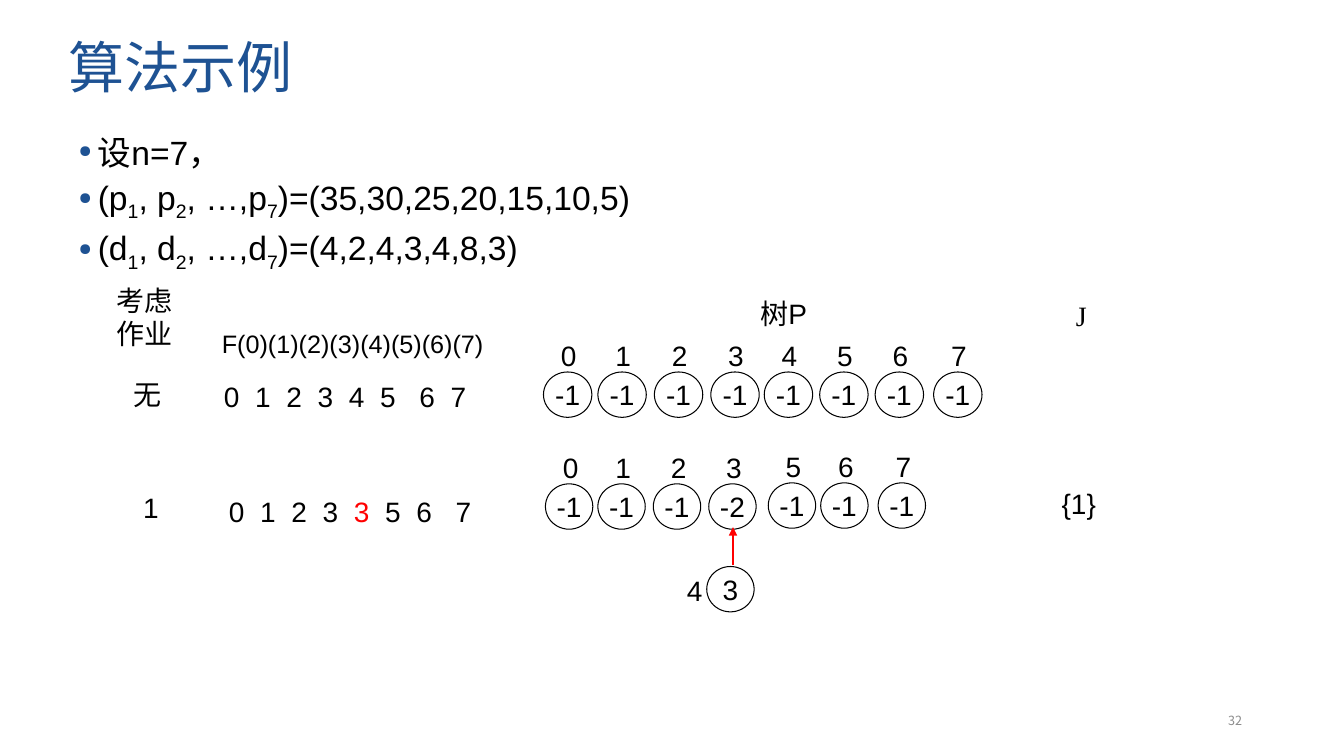
from lxml import etree
from pptx import Presentation
from pptx.dml.color import RGBColor
from pptx.enum.shapes import MSO_CONNECTOR, MSO_SHAPE
from pptx.enum.text import MSO_ANCHOR, PP_ALIGN
from pptx.oxml.ns import qn
from pptx.util import Inches, Pt

BLUE = RGBColor(0x1E, 0x52, 0x93)
BLACK = RGBColor(0, 0, 0)
RED = RGBColor(0xFF, 0, 0)
GRAY = RGBColor(0x8C, 0x8C, 0x8C)
SANS, CJK, SERIF = "Arial", "Noto Sans CJK SC", "Times New Roman"
LEFT, CENTER, RIGHT = PP_ALIGN.LEFT, PP_ALIGN.CENTER, PP_ALIGN.RIGHT
MIDDLE = MSO_ANCHOR.MIDDLE
STRAIGHT, OVAL = MSO_CONNECTOR.STRAIGHT, MSO_SHAPE.OVAL

prs = Presentation()
prs.slide_width, prs.slide_height = Inches(13.33), Inches(7.5)
s = prs.slides.add_slide(prs.slide_layouts[6])


def fill_text(sp, text, size=20, font=SANS, color=BLACK, align=LEFT):
    """Write text into a shape without insets, one paragraph per line."""
    tf = sp.text_frame
    tf.margin_left = tf.margin_right = tf.margin_top = tf.margin_bottom = 0
    tf.word_wrap = True
    tf.text = text
    for p in tf.paragraphs:
        p.alignment = align
        p.font.size, p.font.name = Pt(size), font
        p.font.color.rgb = color
    return tf


def add_text(x, y, w, h, text, **style):
    sp = s.shapes.add_textbox(Inches(x), Inches(y), Inches(w), Inches(h))
    return fill_text(sp, text, **style)


# Title and page number
tf = add_text(0.68, 0.17, 8.8, 1.06, "算法示例", size=40, color=BLUE)
tf.vertical_anchor = MIDDLE
tf.paragraphs[0].line_spacing = 0.9
tf = add_text(9.52, 6.95, 2.8, 0.4, "32", size=9, font=CJK, color=GRAY, align=RIGHT)
tf.vertical_anchor = MIDDLE

# Problem data: every second run of a line is a subscript
problem = [
    ["设n=7，"],
    ["(p", "1", ", p", "2", ", …,p", "7", ")=(35,30,25,20,15,10,5)"],
    ["(d", "1", ", d", "2", ", …,d", "7", ")=(4,2,4,3,4,8,3)"],
]
tf = add_text(0.78, 1.27, 5.82, 1.71, "\n" * (len(problem) - 1), size=24)
for p, parts in zip(tf.paragraphs, problem):
    p.line_spacing = 1.1
    pPr = p._p.get_or_add_pPr()
    pPr.set("marL", str(Inches(0.19)))
    pPr.set("indent", str(-Inches(0.19)))
    bullet_color = etree.Element(qn("a:buClr"))
    etree.SubElement(bullet_color, qn("a:srgbClr"), val=str(BLUE))
    bullet_size = etree.Element(qn("a:buSzPct"), val="50000")
    bullet = etree.Element(qn("a:buChar"), char="●")
    for element in (bullet_color, bullet_size, bullet):
        pPr.find(qn("a:defRPr")).addprevious(element)
    for j, part in enumerate(parts):
        r = p.add_run()
        r.text = part
        if j % 2:
            r.font._element.set("baseline", "-25000")

# Column headings
add_text(1.16, 2.81, 0.72, 0.79, "考虑\n作业", font=CJK)
add_text(2.2, 3.26, 3.9, 0.3, "F(0)(1)(2)(3)(4)(5)(6)(7)", size=18)
p = add_text(7.54, 2.94, 0.8, 0.33, "").paragraphs[0]
for text, font in [("树", CJK), ("P", SANS)]:
    r = p.add_run()
    r.text, r.font.name = text, font
add_text(10.67, 2.96, 0.25, 0.35, "J", font=SERIF)

# Job considered and resulting set J
add_text(1.32, 3.74, 0.5, 0.39, "无", font=CJK)
add_text(1.42, 4.87, 0.53, 0.34, "1")
add_text(10.53, 4.83, 0.54, 0.43, "{1}")

# Values of F: left, top, digits, index of the changed value, last two tab stops
f_rows = [
    (2.22, 3.76, "01234567", None, [1.94, 2.25]),
    (2.27, 4.91, "01233567", 4, [1.86, 2.25]),
]
for x, y, digits, changed, last_stops in f_rows:
    p = add_text(x, y, 3, 0.39, "").paragraphs[0]
    tabs = etree.Element(qn("a:tabLst"))
    for stop in [0.31 * k for k in range(1, 6)] + last_stops:
        etree.SubElement(tabs, qn("a:tab"), pos=str(Inches(stop)), algn="l")
    p._p.pPr.find(qn("a:defRPr")).addprevious(tabs)
    for i, digit in enumerate(digits):
        r = p.add_run()
        r.text = digit if i == 0 else "\t" + digit
        if i == changed:
            r.font.color.rgb = RED

# Tree nodes: left, top, width, value, label, offset of the label
ABOVE, BESIDE = (0.16, -0.33), (-0.21, 0.07)
nodes = [(x, 3.69, 0.48, "-1", str(i), ABOVE) for i, x in
         enumerate([5.39, 5.93, 6.49, 7.05, 7.58, 8.13, 8.68, 9.26])]
nodes += [(x, y, 0.47, value, label, ABOVE) for x, y, value, label in [
    (5.41, 4.8, "-1", "0"), (5.93, 4.8, "-1", "1"), (6.48, 4.8, "-1", "2"),
    (7.03, 4.8, "-2", "3"), (7.62, 4.79, "-1", "5"), (8.14, 4.79, "-1", "6"),
    (8.71, 4.79, "-1", "7"),
]]
nodes.append((7.01, 5.62, 0.47, "3", "4", BESIDE))
for x, y, w, value, label, (dx, dy) in nodes:
    sp = s.shapes.add_shape(OVAL, Inches(x), Inches(y), Inches(w), Inches(0.45))
    sp.shadow.inherit = False
    sp.fill.background()
    sp.line.color.rgb, sp.line.width = BLACK, Pt(0.75)
    tf = fill_text(sp, value, align=CENTER)
    tf.vertical_anchor, tf.word_wrap = MIDDLE, False
    add_text(x + dx, y + dy, 0.18, 0.29, label, align=CENTER)

# Link from node 4 to its parent 3
link = s.shapes.add_connector(STRAIGHT, Inches(7.27), Inches(5.61), Inches(7.27), Inches(5.23))
link.line.color.rgb, link.line.width = RED, Pt(1.5)
etree.SubElement(link.line._get_or_add_ln(), qn("a:tailEnd"), type="triangle")
etree.SubElement(link._element.spPr, qn("a:effectLst"))

prs.save("out.pptx")
